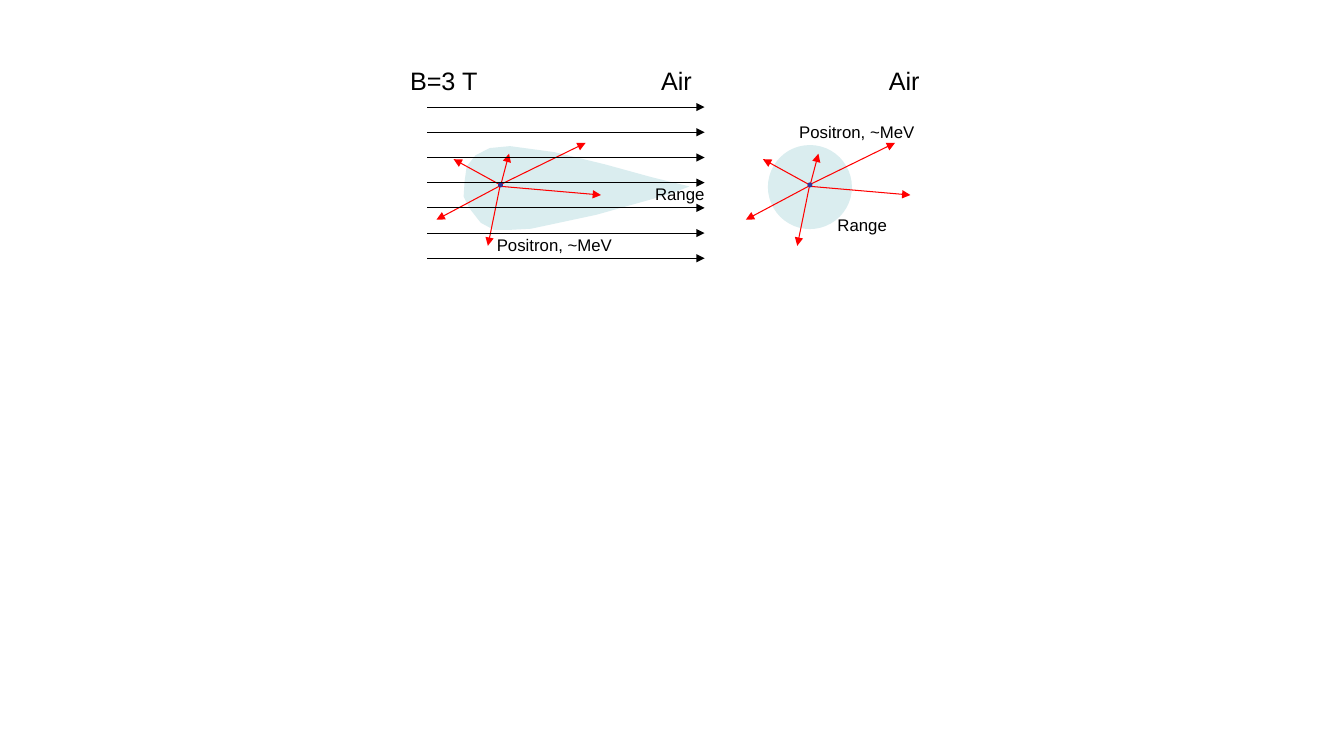
from lxml import etree
from pptx import Presentation
from pptx import util as u
from pptx.dml.color import RGBColor
from pptx.enum import shapes, text
from pptx.oxml.ns import qn

COLORS = {"range": "DAEDEF", "ray": "FF0000", "source": "333399", "ink": "000000"}
SOURCE_Y = 132.1
FIELD_SOURCE_X, AIR_SOURCE_X = 357.5, 578.5
RAYS = [
    ((-1, -0.5), (-33.5, -18.4)),
    ((-1, 1), (-45.7, 24.8)),
    ((0.5, -1), (6.1, -22.3)),
    ((-0.4, 1.2), (-9, 43.5)),
    ((0, 1), (71.8, 7.2)),
    ((0.5, -0.5), (60.8, -30)),
]
RANGE_OUTLINE = [
    (492.5, 133.2), (465.8, 126.7), (432, 117.4), (396, 108.7), (364.3, 104.4),
    (349.9, 105.8), (339.8, 110.9), (333.4, 118.8), (331.9, 129.6), (331.2, 140.4),
    (335.5, 149), (343.4, 159.1), (352.8, 164.2), (364.3, 164.2), (379.4, 163.4),
    (426.2, 153.4), (477.4, 139),
]
LABELS = [
    ("B=3 T", 285.8, 43.2, 63.4, 18),
    ("Air", 465.1, 43.2, 36.7, 18),
    ("Air", 627.8, 43.2, 36.7, 18),
    ("Positron, ~MeV", 347.8, 164.2, 97.9, 12),
    ("Positron, ~MeV", 563.8, 83.5, 97.9, 12),
    ("Range", 591.1, 149.8, 49.7, 12),
    ("Range", 460.8, 127.4, 49.7, 12),
]


def rgb(name):
    """Return the named colour."""
    return RGBColor.from_string(COLORS[name])


def fill_plain(sp, color):
    """Fill a shape and remove its outline and shadow."""
    sp.fill.solid()
    sp.fill.fore_color.rgb = rgb(color)
    sp.line.fill.background()
    sp.shadow.inherit = False


def add_disc(s, x, y, diameter, color):
    """Add a disc centred on x, y."""
    left, top = u.Pt(x - diameter / 2), u.Pt(y - diameter / 2)
    sp = s.shapes.add_shape(
        shapes.MSO_SHAPE.OVAL, left, top, u.Pt(diameter), u.Pt(diameter))
    fill_plain(sp, color)


def add_range_outline(s):
    """Add the region that positrons reach in the magnetic field."""
    points = [(u.Pt(x), u.Pt(y)) for x, y in RANGE_OUTLINE]
    builder = s.shapes.build_freeform(*points[0])
    builder.add_line_segments(points[1:], close=True)
    fill_plain(builder.convert_to_shape(), "range")


def add_arrow(s, x1, y1, x2, y2, color):
    """Add a thin arrow with a triangular head."""
    sp = s.shapes.add_connector(
        shapes.MSO_CONNECTOR.STRAIGHT, u.Pt(x1), u.Pt(y1), u.Pt(x2), u.Pt(y2))
    sp.line.color.rgb = rgb(color)
    sp.line.width = u.Pt(0.75)
    etree.SubElement(sp.line._get_or_add_ln(), qn("a:tailEnd"), type="triangle")
    etree.SubElement(sp._element.spPr, qn("a:effectLst"))


def add_source(s, x):
    """Add a positron source with its rays."""
    for (dx1, dy1), (dx2, dy2) in RAYS:
        add_arrow(s, x + dx1, SOURCE_Y + dy1, x + dx2, SOURCE_Y + dy2, "ray")
    add_disc(s, x, SOURCE_Y, 3.6, "source")


def add_label(s, words, x, y, width, size):
    """Add a one-line label."""
    sp = s.shapes.add_textbox(u.Pt(x), u.Pt(y), u.Pt(width), u.Pt(size * 1.2 + 7.2))
    tf = sp.text_frame
    tf.word_wrap = False
    tf.auto_size = text.MSO_AUTO_SIZE.SHAPE_TO_FIT_TEXT
    p = tf.paragraphs[0]
    p.text = words
    p.font.name = "Arial"
    p.font.size = u.Pt(size)
    p.font.color.rgb = rgb("ink")


def main():
    """Build the slide and save it."""
    prs = Presentation()
    prs.slide_width, prs.slide_height = u.Pt(960), u.Pt(540)
    s = prs.slides.add_slide(prs.slide_layouts[6])
    add_range_outline(s)
    add_disc(s, AIR_SOURCE_X, 133.6, 60, "range")
    add_source(s, FIELD_SOURCE_X)
    for i in range(7):
        y = 76.5 + 18 * i
        add_arrow(s, 305.3, y, 503.3, y, "ink")
    add_source(s, AIR_SOURCE_X)
    for label in LABELS:
        add_label(s, *label)
    prs.save("out.pptx")


main()
